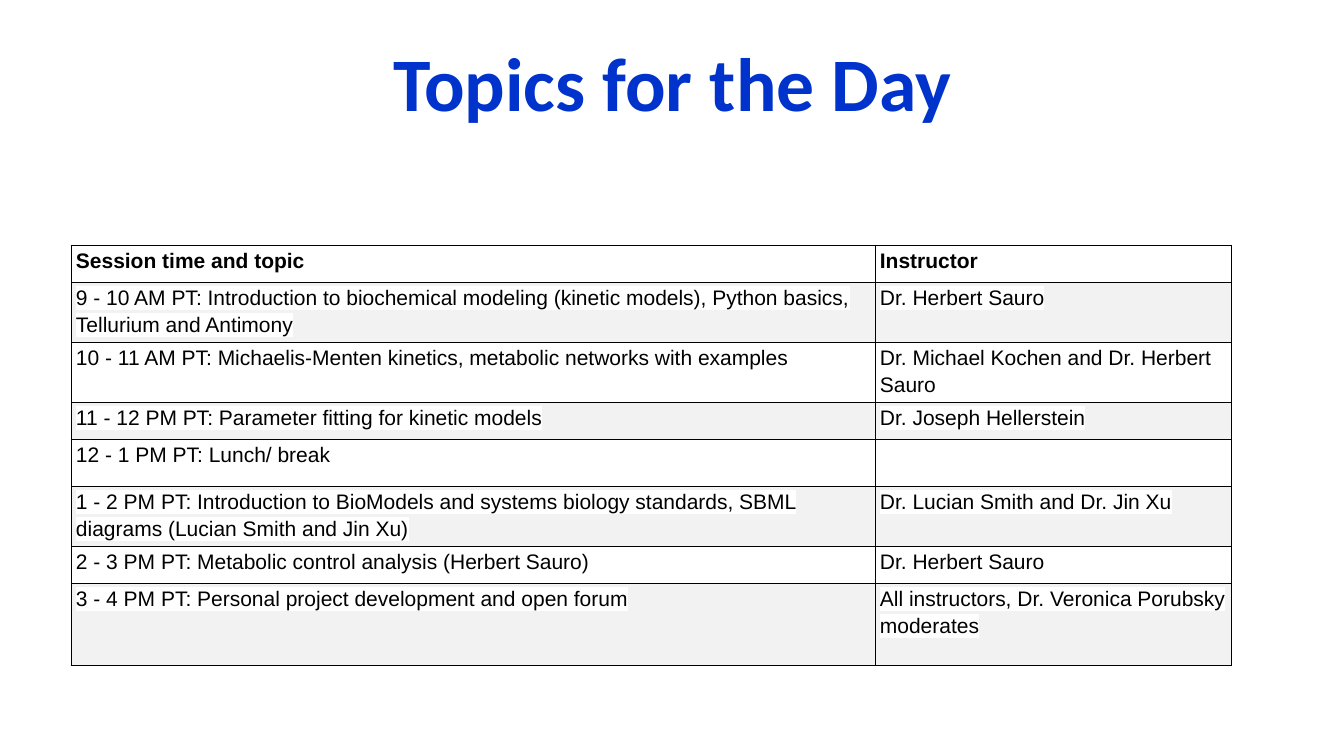
import pptx
import pptx.util
import pptx.dml.color
import pptx.enum.text
import pptx.oxml
import pptx.oxml.ns
from lxml import etree

TITLE = "Topics for the Day"
# Row height in px, topic, instructor
SCHEDULE = [
    (37, "Session time and topic", "Instructor"),
    (56, "9 - 10 AM PT: Introduction to biochemical modeling (kinetic models), "
         "Python basics, Tellurium and Antimony", "Dr. Herbert Sauro"),
    (56, "10 - 11 AM PT: Michaelis-Menten kinetics, metabolic networks with examples",
     "Dr. Michael Kochen and Dr. Herbert Sauro"),
    (37, "11 - 12 PM PT: Parameter fitting for kinetic models", "Dr. Joseph Hellerstein"),
    (47, "12 - 1 PM PT: Lunch/ break", ""),
    (56, "1 - 2 PM PT: Introduction to BioModels and systems biology standards, "
         "SBML diagrams (Lucian Smith and Jin Xu)", "Dr. Lucian Smith and Dr. Jin Xu"),
    (37, "2 - 3 PM PT: Metabolic control analysis (Herbert Sauro)", "Dr. Herbert Sauro"),
    (83, "3 - 4 PM PT: Personal project development and open forum",
     "All instructors, Dr. Veronica Porubsky moderates"),
]
COLUMN_WIDTHS = [804, 356]
TABLE_LEFT, TABLE_TOP = 71, 245
BLACK, WHITE, GREY, BLUE = "000000", "FFFFFF", "F2F2F2", "0033CC"


def px(length):
    return pptx.util.Emu(round(length * 914400 / 100.8))


def color(value):
    return pptx.dml.color.RGBColor.from_string(value)


def set_font(paragraph, name, size, value, bold):
    font = paragraph.font
    font.name, font.size, font.bold = name, pptx.util.Pt(size), bold
    font.color.rgb = color(value)


def add_color(parent, tag, value):
    holder = etree.SubElement(parent, pptx.oxml.ns.qn(tag))
    etree.SubElement(holder, pptx.oxml.ns.qn("a:srgbClr"), val=value)


def set_borders(cell):
    properties = cell._tc.get_or_add_tcPr()
    for index, side in enumerate(("a:lnL", "a:lnR", "a:lnT", "a:lnB")):
        line = etree.Element(pptx.oxml.ns.qn(side), w=str(pptx.util.Pt(0.57)))
        add_color(line, "a:solidFill", BLACK)
        properties.insert(index, line)


def fill_cell(cell, text, background, bold):
    cell.fill.solid()
    cell.fill.fore_color.rgb = color(background)
    cell.margin_left = cell.margin_right = px(5)
    cell.margin_top = cell.margin_bottom = px(1)
    set_borders(cell)
    paragraph = cell.text_frame.paragraphs[0]
    paragraph.line_spacing = 1.15
    set_font(paragraph, "Arial", 15, BLACK, bold)
    if text:
        run = paragraph.add_run()
        run.text = text
        add_color(run.font._element, "a:highlight", WHITE)


presentation = pptx.Presentation()
presentation.slide_width, presentation.slide_height = px(1344), px(756)
slide = presentation.slides.add_slide(presentation.slide_layouts[6])

# Title
title = slide.shapes.add_textbox(px(93), px(14), px(1159), px(146))
frame = title.text_frame
frame.word_wrap = True
frame.vertical_anchor = pptx.enum.text.MSO_ANCHOR.MIDDLE
heading = frame.paragraphs[0]
heading.text = TITLE
heading.alignment = pptx.enum.text.PP_ALIGN.CENTER
heading.line_spacing = 0.9
set_font(heading, "Calibri", 54, BLUE, True)

# Schedule table
table_height = sum(height for height, *_ in SCHEDULE)
table = slide.shapes.add_table(
    len(SCHEDULE), len(COLUMN_WIDTHS), px(TABLE_LEFT), px(TABLE_TOP),
    px(sum(COLUMN_WIDTHS)), px(table_height)).table
table.first_row = table.horz_banding = False
for column, width in zip(table.columns, COLUMN_WIDTHS):
    column.width = px(width)
for row_index, (height, *texts) in enumerate(SCHEDULE):
    table.rows[row_index].height = px(height)
    background = GREY if row_index % 2 else WHITE
    for column_index, text in enumerate(texts):
        fill_cell(table.cell(row_index, column_index), text, background, row_index == 0)

presentation.save("out.pptx")
